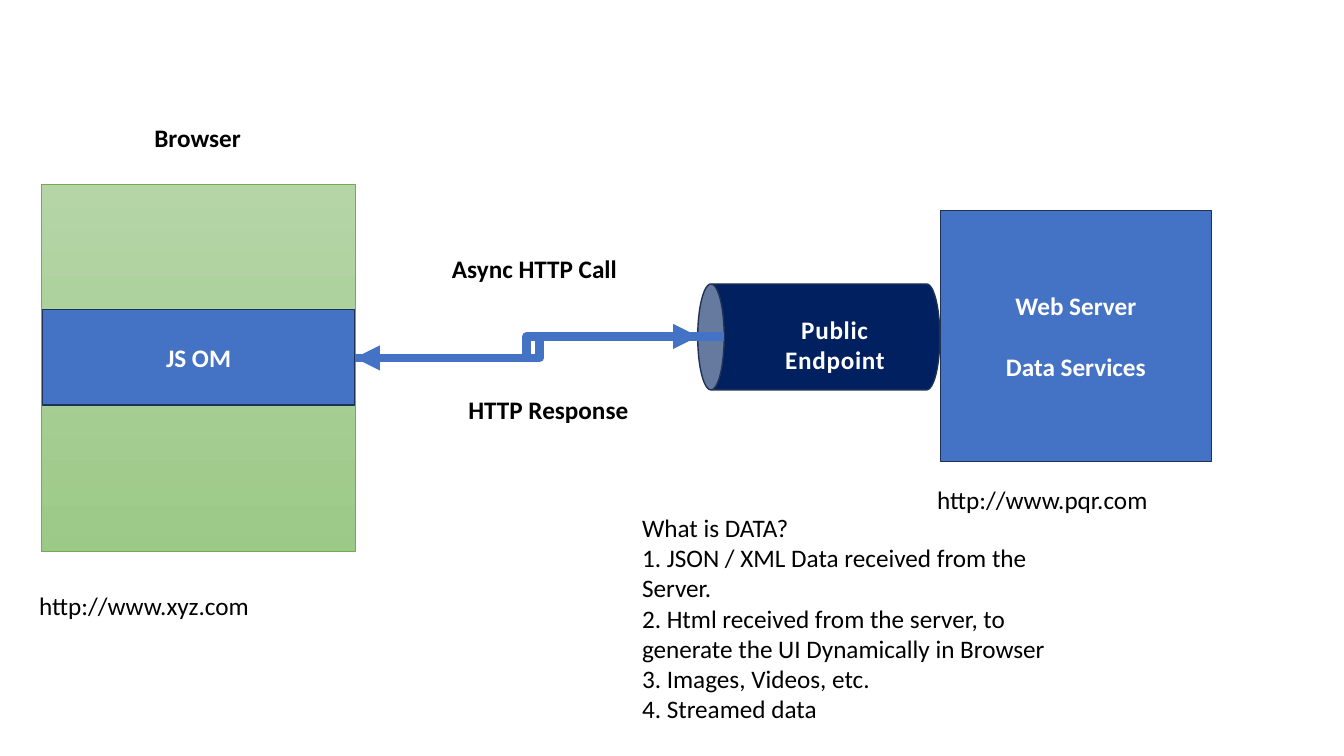
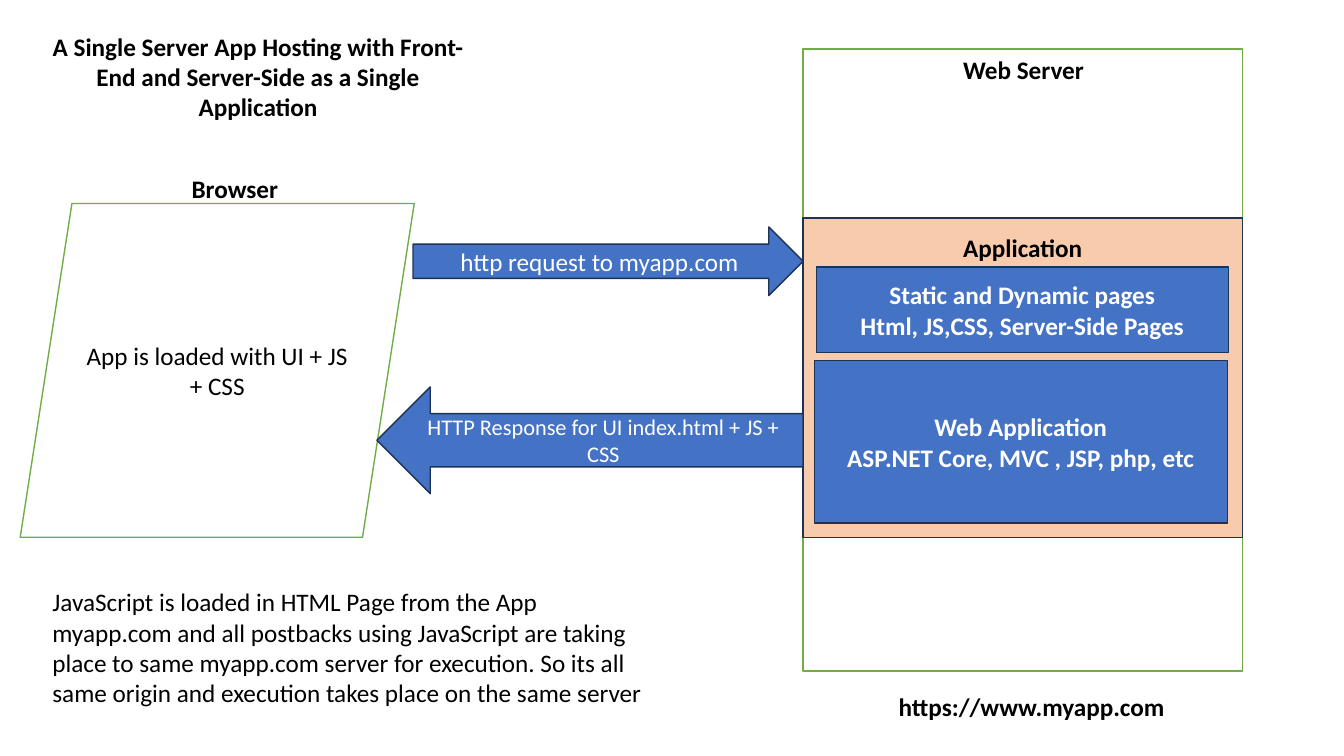
from dataclasses import dataclass
from typing import Optional

import lxml.etree
import pptx
import pptx.dml.color
import pptx.enum.shapes
import pptx.enum.text
import pptx.oxml.ns
import pptx.slide
import pptx.util

Cm = pptx.util.Cm
Pt = pptx.util.Pt
RGBColor = pptx.dml.color.RGBColor
MSO_SHAPE = pptx.enum.shapes.MSO_SHAPE
PP_ALIGN = pptx.enum.text.PP_ALIGN
MSO_ANCHOR = pptx.enum.text.MSO_ANCHOR
qn = pptx.oxml.ns.qn

BLACK = RGBColor(0x00, 0x00, 0x00)
WHITE = RGBColor(0xFF, 0xFF, 0xFF)
OFF_WHITE = RGBColor(0xFE, 0xFE, 0xFE)
BLUE = RGBColor(0x44, 0x72, 0xC4)
NAVY = RGBColor(0x00, 0x20, 0x60)
EDGE = RGBColor(0x1E, 0x32, 0x56)
GREEN = RGBColor(0x70, 0xAD, 0x47)
GREEN_TOP = RGBColor(0xB5, 0xD5, 0xA7)
GREEN_BOTTOM = RGBColor(0x9C, 0xC9, 0x87)
PEACH = RGBColor(0xF8, 0xCB, 0xAD)

FONT = "Calibri"
LABEL_HEIGHT = 1.02


@dataclass(frozen=True)
class Box:
    left: float
    top: float
    width: float
    height: float = LABEL_HEIGHT

    def emu(self) -> tuple[int, int, int, int]:
        return Cm(self.left), Cm(self.top), Cm(self.width), Cm(self.height)


@dataclass(frozen=True)
class Text:
    lines: tuple[str, ...]
    color: RGBColor = BLACK
    bold: bool = True
    size: int = 18
    align: PP_ALIGN = PP_ALIGN.CENTER
    gap: int = 0
    outlined: bool = False


@dataclass(frozen=True)
class Label:
    box: Box
    text: Text


@dataclass(frozen=True)
class Block:
    box: Box
    text: Optional[Text] = None
    kind: MSO_SHAPE = MSO_SHAPE.RECTANGLE
    fill: tuple[RGBColor, ...] = (BLUE,)
    line: RGBColor = EDGE
    line_width: float = 1
    rotation: int = 0
    adjustment: Optional[float] = None


@dataclass(frozen=True)
class Arrow:
    start: tuple[float, float]
    end: tuple[float, float]


def heading(*lines: str) -> Text:
    return Text(lines)


def body(*lines: str) -> Text:
    return Text(lines, bold=False, align=PP_ALIGN.LEFT)


def caption(*lines: str, gap: int = 0) -> Text:
    return Text(lines, WHITE, gap=gap)


def outline_run(r: pptx.text.text._Run) -> None:
    r_pr = r._r.get_or_add_rPr()
    r_pr.set("spc", "50")
    ln = lxml.etree.Element(qn("a:ln"), w=str(Pt(0.75)))
    fill = lxml.etree.SubElement(ln, qn("a:solidFill"))
    lxml.etree.SubElement(fill, qn("a:srgbClr"), val=str(BLUE))
    r_pr.insert(0, ln)


def write(tf: pptx.text.text.TextFrame, text: Text) -> None:
    tf.word_wrap = True
    for i, line in enumerate(text.lines):
        p = tf.add_paragraph() if i else tf.paragraphs[0]
        p.alignment = text.align
        if i and text.gap:
            p.space_before = Pt(text.gap)
        r = p.add_run()
        r.text = line
        r.font.name = FONT
        r.font.size = Pt(text.size)
        r.font.bold = text.bold
        r.font.color.rgb = text.color
        if text.outlined:
            outline_run(r)


def draw_label(s: pptx.slide.Slide, label: Label) -> None:
    sp = s.shapes.add_textbox(*label.box.emu())
    write(sp.text_frame, label.text)
    sp.text_frame.auto_size = pptx.enum.text.MSO_AUTO_SIZE.SHAPE_TO_FIT_TEXT


def draw_block(s: pptx.slide.Slide, block: Block) -> None:
    sp = s.shapes.add_shape(block.kind, *block.box.emu())
    sp.shadow.inherit = False
    sp.rotation = block.rotation
    if block.adjustment is not None:
        sp.adjustments[0] = block.adjustment
    if len(block.fill) > 1:
        sp.fill.gradient()
        sp.fill.gradient_angle = 270
        for stop, color in zip(sp.fill.gradient_stops, block.fill):
            stop.color.rgb = color
    else:
        sp.fill.solid()
        sp.fill.fore_color.rgb = block.fill[0]
    sp.line.color.rgb = block.line
    sp.line.width = Pt(block.line_width)
    if block.text:
        sp.text_frame.vertical_anchor = MSO_ANCHOR.MIDDLE
        write(sp.text_frame, block.text)


def draw_arrow(s: pptx.slide.Slide, arrow: Arrow) -> None:
    points = [Cm(v) for v in arrow.start + arrow.end]
    connector = s.shapes.add_connector(pptx.enum.shapes.MSO_CONNECTOR.ELBOW, *points)
    connector.line.color.rgb = BLUE
    connector.line.width = Pt(6)
    sp_pr = connector._element.spPr
    lxml.etree.SubElement(sp_pr.find(qn("a:ln")), qn("a:tailEnd"), type="triangle")
    lxml.etree.SubElement(sp_pr, qn("a:effectLst"))


DRAW = {Label: draw_label, Block: draw_block, Arrow: draw_arrow}

ASYNC_CALL = (
    Block(Box(23.7, 5.31, 6.83, 6.32), caption("Web Server", "Data Services", gap=22)),
    Block(Box(19.3, 5.44, 2.67, 6.1), kind=MSO_SHAPE.CAN, fill=(NAVY,), rotation=270),
    Label(Box(18.72, 7.8, 4.65, 1.8), Text(("Public Endpoint",), OFF_WHITE, outlined=True)),
    Block(Box(1.04, 4.65, 7.92, 9.25), fill=(GREEN_TOP, GREEN_BOTTOM), line=GREEN, line_width=0.5),
    Label(Box(1.07, 2.95, 7.82), heading("Browser")),
    Block(Box(1.07, 7.8, 7.87, 2.41), caption("JS OM")),
    Arrow((8.94, 9.02), (17.6, 8.48)),
    Label(Box(10.08, 6.27, 6.78), heading("Async HTTP Call")),
    Arrow((18.26, 8.48), (8.94, 9.02)),
    Label(Box(10.77, 9.8, 6.1), heading("HTTP Response")),
    Label(
        Box(15.93, 12.78, 11.43, 5.64),
        body(
            "What is DATA?",
            "1. JSON / XML Data received from the Server.",
            "2. Html received from the server, to generate the UI Dynamically in Browser",
            "3. Images, Videos, etc.",
            "4. Streamed data",
        ),
    ),
    Label(Box(0.74, 14.76, 8.56), body("http://www.xyz.com")),
    Label(Box(23.37, 12.09, 8.56), body("http://www.pqr.com")),
)

SINGLE_SERVER = (
    Block(Box(20.24, 1.24, 11.07, 15.67), fill=(WHITE,), line=GREEN),
    Label(Box(21.39, 1.24, 8.81), heading("Web Server")),
    Label(Box(19.89, 17.3, 12.22), heading("https://www.myapp.com")),
    Block(Box(20.24, 5.49, 11.07, 8.05), fill=(PEACH,)),
    Block(
        Box(20.57, 6.73, 10.39, 2.16),
        caption("Static and Dynamic pages", "Html, JS,CSS, Server-Side Pages"),
    ),
    Block(
        Box(20.52, 9.09, 10.41, 4.09),
        caption("Web Application", "ASP.NET Core, MVC , JSP, php, etc"),
    ),
    Label(Box(20.9, 5.72, 9.75), heading("Application")),
    Block(
        Box(0.51, 5.13, 9.93, 8.41),
        Text(("App is loaded with UI + JS + CSS",), bold=False),
        kind=MSO_SHAPE.PARALLELOGRAM,
        fill=(WHITE,),
        line=GREEN,
        adjustment=0.155,
    ),
    Label(Box(1.78, 4.24, 8.28), heading("Browser")),
    Block(
        Box(10.41, 5.72, 9.83, 1.73),
        Text(("http request to myapp.com",), WHITE, bold=False),
        kind=MSO_SHAPE.RIGHT_ARROW,
    ),
    Block(
        Box(9.5, 9.75, 10.74, 2.69),
        Text(("HTTP Response for UI index.html + JS + CSS",), WHITE, bold=False, size=16),
        kind=MSO_SHAPE.LEFT_ARROW,
    ),
    Label(
        Box(1.07, 14.66, 15.39, 4.11),
        body(
            "JavaScript is loaded in HTML Page from the App myapp.com and all postbacks "
            "using JavaScript are taking place to same myapp.com server for execution. "
            "So its all same origin and execution takes place on the same server"
        ),
    ),
    Label(
        Box(0.79, 0.66, 11.43, 2.57),
        heading("A Single Server App Hosting with Front-End and Server-Side as a Single Application"),
    ),
)


def main() -> None:
    prs = pptx.Presentation()
    prs.slide_width = Cm(33.87)
    prs.slide_height = Cm(19.05)
    for items in (ASYNC_CALL, SINGLE_SERVER):
        s = prs.slides.add_slide(prs.slide_layouts[6])
        for item in items:
            DRAW[type(item)](s, item)
    prs.save("out.pptx")


if __name__ == "__main__":
    main()
